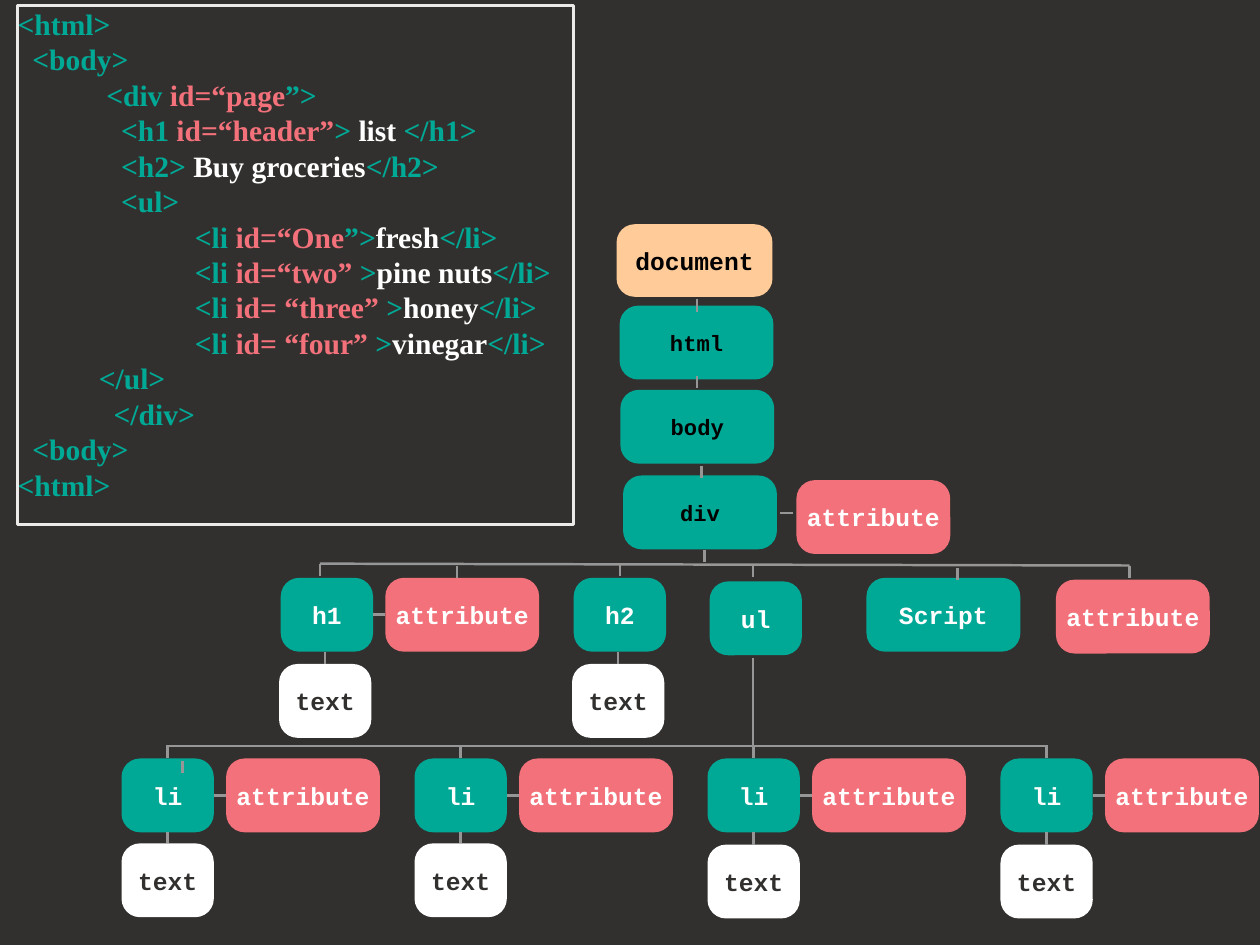
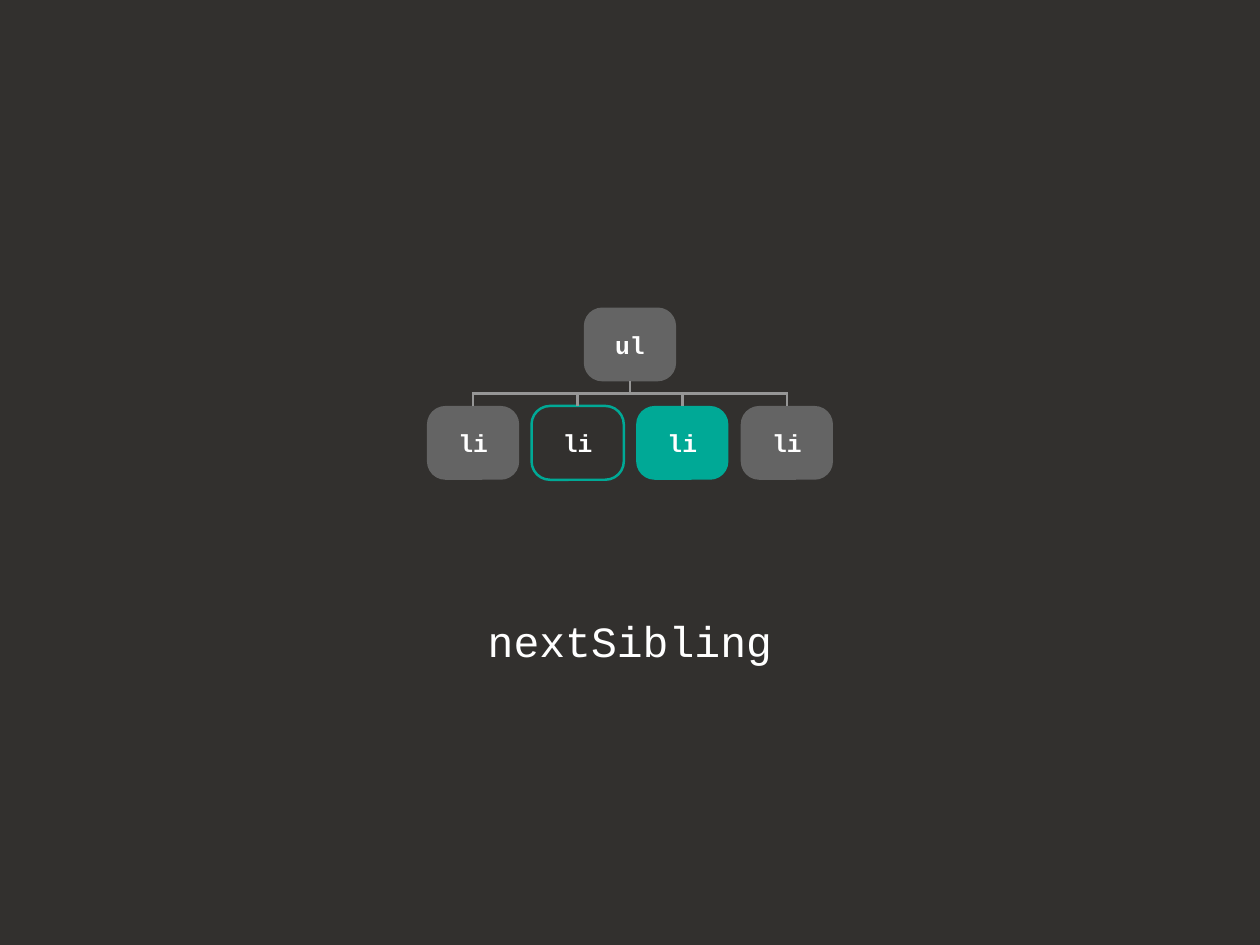
from pptx import Presentation
from pptx.dml.color import RGBColor
from pptx.enum.shapes import MSO_CONNECTOR as CONN, MSO_SHAPE as SHAPE
from pptx.enum.text import MSO_ANCHOR as ANCHOR, PP_ALIGN as ALIGN
from pptx.oxml.ns import qn
from pptx.util import Pt
from lxml import etree

DARK, TEAL, PINK, WHITE = "32302E", "00A996", "F2717A", "FFFFFF"
PEACH, BLACK, GRAY, WIRE, FRAME = "FFCC99", "000000", "646464", "969696", "EBEAE9"
MONO, SERIF = "Courier New", "Times New Roman"
NARROW, WIDE, HIGH, GAP = 75, 125, 60, 10
PITCH = 238.1
LEADING = 1.2

CODE = [
    (0, [("<html>", TEAL)]),
    (12, [("<body>", TEAL)]),
    (72, [("<div ", TEAL), ("id=“page", PINK), ("”>", TEAL)]),
    (84, [("<h1 ", TEAL), ("id=“header”", PINK), (">", TEAL), (" list ", WHITE), ("</h1>", TEAL)]),
    (84, [("<h2> ", TEAL), ("Buy groceries", WHITE), ("</h2>", TEAL)]),
    (84, [("<ul>", TEAL)]),
    (144, [("<li ", TEAL), ("id=“One", PINK), ("”>", TEAL), ("fresh", WHITE), ("</li>", TEAL)]),
    (144, [("<li ", TEAL), ("id=“two” ", PINK), (">", TEAL), ("pine nuts", WHITE), ("</li>", TEAL)]),
    (144, [("<li ", TEAL), ("id= “three” ", PINK), (">", TEAL), ("honey", WHITE), ("</li>", TEAL)]),
    (144, [("<li ", TEAL), ("id= “four” ", PINK), (">", TEAL), ("vinegar", WHITE), ("</li>", TEAL)]),
    (66, [("</ul>", TEAL)]),
    (78, [("</div>", TEAL)]),
    (12, [("<body>", TEAL)]),
    (0, [("<html>", TEAL)]),
]


def rgb(value):
    """Turn a hex string into a colour."""
    return RGBColor.from_string(value)


def new_slide(prs):
    """Add a blank slide with the dark background."""
    s = prs.slides.add_slide(prs.slide_layouts[6])
    s.background.fill.solid()
    s.background.fill.fore_color.rgb = rgb(DARK)
    return s


def clear_margins(tf):
    """Give a text frame wrapping and no insets."""
    tf.word_wrap = True
    tf.margin_left = tf.margin_top = tf.margin_right = tf.margin_bottom = Pt(0)


def style_run(r, color, size, font=MONO, bold=True):
    """Format one run."""
    r.font.name, r.font.size, r.font.bold = font, Pt(size), bold
    r.font.color.rgb = rgb(color)


def center_text(sp, text, color, size, bold=True, anchor=ANCHOR.MIDDLE):
    """Write one centred line in a shape."""
    tf = sp.text_frame
    tf.text = text
    clear_margins(tf)
    tf.vertical_anchor = anchor
    p = tf.paragraphs[0]
    p.alignment, p.line_spacing = ALIGN.CENTER, Pt(size * LEADING)
    style_run(p.runs[0], color, size, bold=bold)


def node(s, text, x, y, w=NARROW, h=HIGH, fill=TEAL, color=WHITE, size=20):
    """Draw a rounded tree node; without fill it gets a teal outline."""
    sp = s.shapes.add_shape(SHAPE.ROUNDED_RECTANGLE, Pt(x), Pt(y), Pt(w), Pt(h))
    sp.adjustments[0] = 0.25
    sp.shadow.inherit = False
    if fill:
        sp.fill.solid()
        sp.fill.fore_color.rgb = rgb(fill)
        sp.line.fill.background()
    else:
        sp.fill.background()
        sp.line.color.rgb = rgb(TEAL)
        sp.line.width = Pt(2)
    center_text(sp, text, color, size)
    return sp


def attribute(s, x, y):
    """Draw a pink attribute node."""
    return node(s, "attribute", x, y, WIDE, fill=PINK)


def wire(s, x1, y1, x2, y2, start=None, end=None):
    """Draw a gray line, joined to (shape, side) pairs where given."""
    ln = s.shapes.add_connector(CONN.STRAIGHT, Pt(x1), Pt(y1), Pt(x2), Pt(y2))
    ln.line.color.rgb = rgb(WIRE)
    ln.line.width = Pt(2)
    etree.SubElement(ln._element.spPr, qn("a:effectLst"))
    if start:
        ln.begin_connect(*start)
    if end:
        ln.end_connect(*end)


def stub(s, x, y, end=None):
    """Draw a short vertical line."""
    wire(s, x, y, x, y + GAP, end=end)


def element(s, tag, x, y, has_attribute=True, text_dx=0, drop=GAP):
    """Draw an element with its attribute at the right and its text below."""
    top = node(s, tag, x, y)
    bottom = y + HIGH
    text_x = x + text_dx
    leaf = node(s, "text", text_x, bottom + drop, fill=WHITE, color=DARK)
    mid = text_x + NARROW / 2
    wire(s, mid, bottom, mid, bottom + drop,
         None if text_dx else (top, 2), (leaf, 0))
    if has_attribute:
        right = x + NARROW
        side = attribute(s, right + GAP, y)
        wire(s, right, y + HIGH / 2, right + GAP, y + HIGH / 2, (top, 3), (side, 1))
    return top


def code_panel(s, x, y, w, h):
    """Draw the framed markup listing."""
    sp = s.shapes.add_textbox(Pt(x), Pt(y), Pt(w), Pt(h))
    sp.line.color.rgb = rgb(FRAME)
    sp.line.width = Pt(2.5)
    tf = sp.text_frame
    clear_margins(tf)
    for i, (indent, parts) in enumerate(CODE):
        p = tf.add_paragraph() if i else tf.paragraphs[0]
        p.line_spacing = Pt(24 * LEADING)
        p._p.get_or_add_pPr().set("marL", str(Pt(indent)))
        for text, color in parts:
            r = p.add_run()
            r.text = text
            style_run(r, color, 24, SERIF)


def trunk(s, x, y):
    """Draw the stack from document to div, with the attribute of div."""
    node(s, "document", x, y, 126.7, 59, PEACH, BLACK)
    for tag, dx, dy in [("html", 2.5, 66.2), ("body", 3.1, 134.6), ("div", 5.3, 204.2)]:
        node(s, tag, x + dx, y + dy, WIDE, color=BLACK, size=18)
    for dx, dy in [(65.5, 61.2), (65.5, 123.1), (69.1, 196.5), (71.3, 264.9)]:
        stub(s, x + dx, y + dy)
    attribute(s, x + 146.2, y + 208)
    wire(s, x + 133.2, y + 234.7, x + 143.3, y + 234.7)


def children_of_div(s, x, y):
    """Draw the row of nodes under div and the rail above it."""
    element(s, "h1", x, y, text_dx=-1.4)
    element(s, "h2", x + PITCH, y, has_attribute=False, text_dx=-1.4)
    node(s, "ul", x + 348.5, y + 2.9)
    node(s, "Script", x + 476, y, WIDE)
    attribute(s, x + 630, y + 1.5)
    wire(s, x + 31.8, y - 11.5, x + 689.8, y - 10)
    for dx, dy in [(31.8, -11.4), (143.3, -10), (275.8, -11.4),
                   (383.8, -10.8), (550.1, -7.9), (689.8, -10)]:
        stub(s, x + dx, y + dy)
    wire(s, x + 383.8, y + 64.8, x + 383.8, y + 136.8)


def list_items(s, x, y, count=4):
    """Draw the row of li elements hanging from their rail."""
    mid = x + NARROW / 2
    for i in range(count):
        top = element(s, "li", x + i * PITCH, y, drop=9 if i < 2 else 10)
        stub(s, mid + i * PITCH, y - GAP, (top, 0))
    wire(s, mid - 1, y - GAP, mid + (count - 1) * PITCH + 1, y - GAP)
    stub(s, x + 49.5, y + 2.2)


def sibling_tree(s, x, y):
    """Draw ul above its four li nodes, two of them marked."""
    step = NARROW + GAP
    center = x + (3 * step + NARROW) / 2
    rail = y + 70
    parent = node(s, "ul", center - NARROW / 2, y, fill=GRAY)
    for i, fill in enumerate([GRAY, None, TEAL, GRAY]):
        left = x + i * step
        item = node(s, "li", left, rail + GAP, fill=fill)
        stub(s, left + NARROW / 2, rail, (item, 0))
    wire(s, center, y + HIGH, center, rail, (parent, 2))
    wire(s, x + NARROW / 2 - 1, rail, x + 3 * step + NARROW / 2 + 1, rail)


def caption(s, text, x, y, w, h):
    """Write the large centred method name."""
    sp = s.shapes.add_textbox(Pt(x), Pt(y), Pt(w), Pt(h))
    center_text(sp, text, WHITE, 35, bold=False, anchor=ANCHOR.TOP)


def main():
    """Build both slides and save them."""
    prs = Presentation()
    prs.slide_width, prs.slide_height = Pt(1024), Pt(768)

    s = new_slide(prs)
    list_items(s, 98.8, 616.4)
    trunk(s, 501.1, 182.2)
    children_of_div(s, 228.2, 469.6)
    code_panel(s, 14.4, 4.8, 451.4, 421.2)

    s = new_slide(prs)
    sibling_tree(s, 347, 249.9)
    caption(s, "nextSibling", 62, 499.7, 900, 49.7)

    prs.save("out.pptx")


if __name__ == "__main__":
    main()
